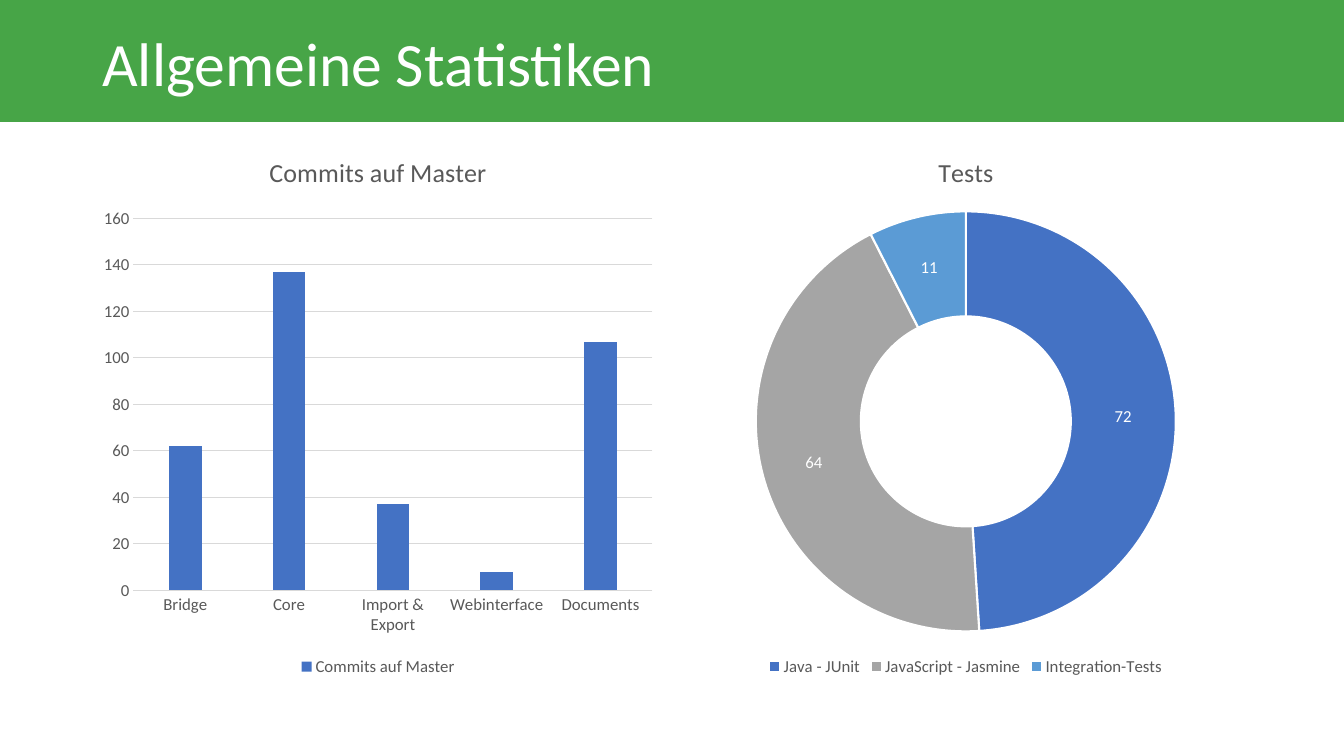
"""Builds the statistics slide: a title band, a column chart and a doughnut."""
from pptx import Presentation
from pptx.chart.data import CategoryChartData
from pptx.dml.color import RGBColor
from pptx.enum.chart import XL_CHART_TYPE, XL_LEGEND_POSITION, XL_TICK_MARK
from pptx.enum.shapes import MSO_SHAPE
from pptx.enum.text import MSO_ANCHOR
from pptx.util import Cm, Pt

COLUMN, DOUGHNUT = XL_CHART_TYPE.COLUMN_CLUSTERED, XL_CHART_TYPE.DOUGHNUT
BOTTOM = XL_LEGEND_POSITION.BOTTOM
NO_TICK = XL_TICK_MARK.NONE
RECT = MSO_SHAPE.RECTANGLE
MIDDLE = MSO_ANCHOR.MIDDLE

GREEN = RGBColor(0x47, 0xA5, 0x47)
WHITE = RGBColor(0xFF, 0xFF, 0xFF)
INK = RGBColor(0x59, 0x59, 0x59)
RULE = RGBColor(0xD9, 0xD9, 0xD9)
BLUE = RGBColor(0x44, 0x72, 0xC4)
GREY = RGBColor(0xA5, 0xA5, 0xA5)
SKY = RGBColor(0x5B, 0x9B, 0xD5)

WIDTH, HEIGHT = 33.87, 19.05
MARGIN = 2.33
CHART_TOP, CHART_W, CHART_H = 3.35, 14.4, 13.8
CHART_GAP = WIDTH - 2 * MARGIN - 2 * CHART_W


class Deck:
    """Holds the text style and the current slide."""

    font = "Calibri"

    def __init__(self, prs):
        """Add a blank slide to draw on."""
        self.s = prs.slides.add_slide(prs.slide_layouts[6])

    def style(self, font, size, color=INK):
        """Apply the deck's font at a size and colour."""
        fmt = {"name": self.font, "size": Pt(size), "bold": False}
        for key, value in fmt.items():
            setattr(font, key, value)
        font.color.rgb = color

    def line(self, line, color, width):
        """Give a line its colour and width in points."""
        line.color.rgb = color
        line.width = Pt(width)

    def band(self, x, y, w, h, color):
        """Draw a plain filled rectangle."""
        sp = self.s.shapes.add_shape(RECT, Cm(x), Cm(y), Cm(w), Cm(h))
        sp.shadow.inherit = False
        sp.fill.solid()
        sp.fill.fore_color.rgb = color
        sp.line.fill.background()

    def text(self, x, y, w, h, words, size, color):
        """Add a vertically centred text box."""
        sp = self.s.shapes.add_textbox(Cm(x), Cm(y), Cm(w), Cm(h))
        tf = sp.text_frame
        for key, value in {"word_wrap": True, "vertical_anchor": MIDDLE}.items():
            setattr(tf, key, value)
        p = tf.paragraphs[0]
        p.line_spacing = 0.9
        r = p.add_run()
        r.text = words
        self.style(r.font, size, color)

    def chart(self, column, kind, title, values):
        """Add a titled one-series chart with a legend in a slide column."""
        data = CategoryChartData()
        data.categories = list(values)
        data.add_series(title, list(values.values()))
        x = MARGIN + column * (CHART_W + CHART_GAP)
        chart = self.s.shapes.add_chart(
            kind, Cm(x), Cm(CHART_TOP), Cm(CHART_W), Cm(CHART_H), data).chart
        self.style(chart.font, 12)
        chart.has_title = True
        p = chart.chart_title.text_frame.paragraphs[0]
        r = p.add_run()
        r.text = title
        self.style(r.font, 18.6)
        chart.has_legend = True
        legend = chart.legend
        for key, value in {"position": BOTTOM, "include_in_layout": False}.items():
            setattr(legend, key, value)
        self.style(legend.font, 12)
        return chart

    def columns(self, column, title, values, color):
        """Add a column chart with light gridlines."""
        chart = self.chart(column, COLUMN, title, values)
        plot = chart.plots[0]
        fmt = {"gap_width": 219, "overlap": -27, "vary_by_categories": False}
        for key, value in fmt.items():
            setattr(plot, key, value)
        fill = plot.series[0].format.fill
        fill.solid()
        fill.fore_color.rgb = color
        for axis in (chart.category_axis, chart.value_axis):
            axis.major_tick_mark = axis.minor_tick_mark = NO_TICK
            self.style(axis.tick_labels.font, 12)
        self.line(chart.category_axis.format.line, RULE, 0.75)
        chart.value_axis.format.line.fill.background()
        self.line(chart.value_axis.major_gridlines.format.line, RULE, 0.75)

    def doughnut(self, column, title, values, colors):
        """Add a doughnut chart with white value labels."""
        chart = self.chart(column, DOUGHNUT, title, values)
        plot = chart.plots[0]
        plot.vary_by_categories = True
        hole = plot._element.find("{*}holeSize")
        hole.set("val", "75")
        series = plot.series[0]
        for i, color in enumerate(colors):
            fmt = series.points[i].format
            fmt.fill.solid()
            fmt.fill.fore_color.rgb = color
            self.line(fmt.line, WHITE, 1.5)
        labels = series.data_labels
        fmt = {"show_value": True, "show_percentage": False,
               "show_category_name": False, "show_legend_key": False}
        for key, value in fmt.items():
            setattr(labels, key, value)
        self.style(labels.font, 12, WHITE)


def main():
    """Build and save the presentation."""
    prs = Presentation()
    prs.slide_width, prs.slide_height = Cm(WIDTH), Cm(HEIGHT)
    deck = Deck(prs)
    deck.band(0, 0, WIDTH, 3.07, GREEN)
    deck.columns(0, "Commits auf Master", {
        "Bridge": 62, "Core": 137, "Import & Export": 37,
        "Webinterface": 8, "Documents": 107}, BLUE)
    deck.doughnut(1, "Tests", {
        "Java - JUnit": 72, "JavaScript - Jasmine": 64,
        "Integration-Tests": 11}, (BLUE, GREY, SKY))
    deck.text(MARGIN, 0.58, WIDTH - 2 * MARGIN, 2.18,
              "Allgemeine Statistiken", 44, WHITE)
    prs.save("out.pptx")


main()
